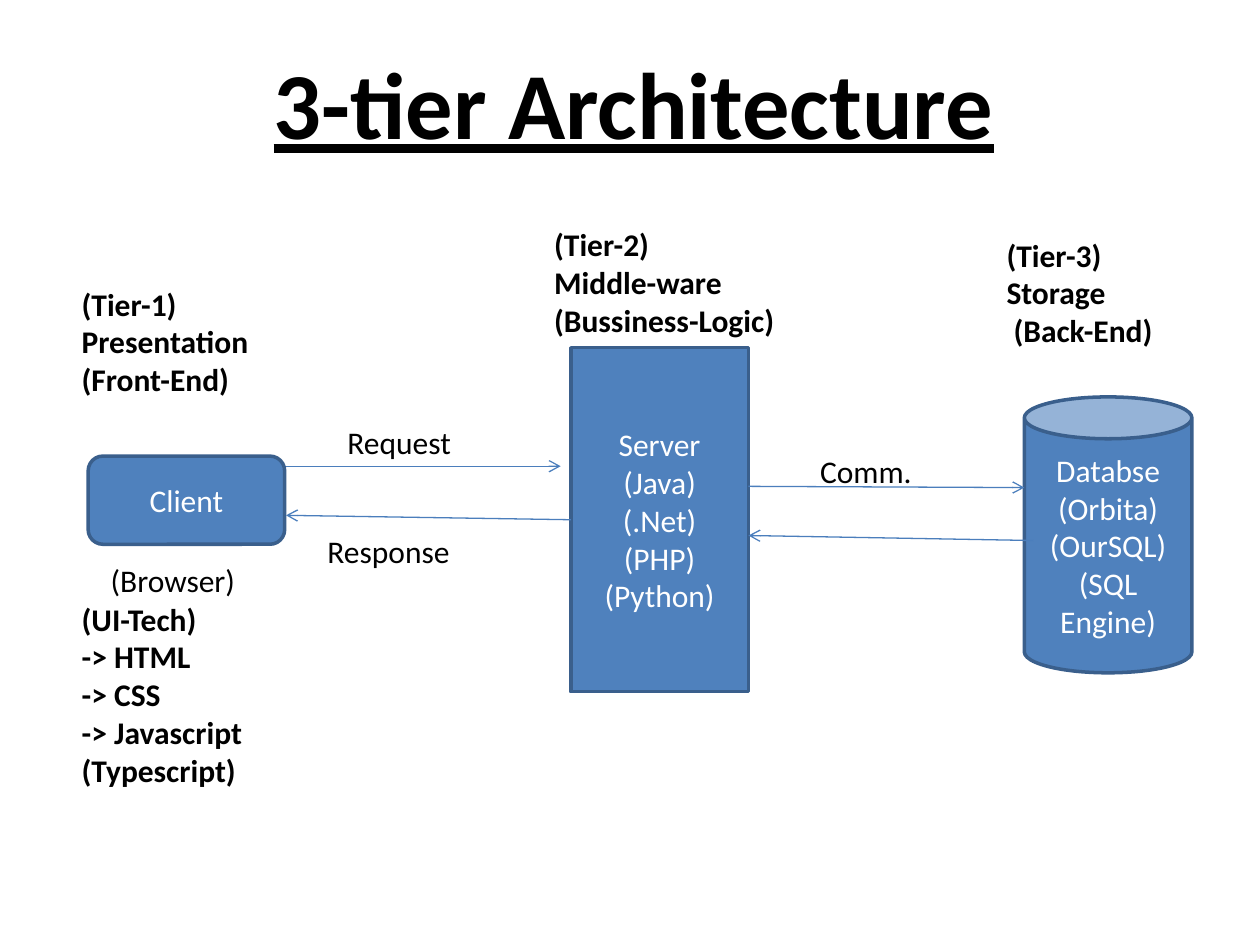
from lxml import etree
from pptx import Presentation
from pptx.dml.color import RGBColor
from pptx.enum.shapes import MSO_CONNECTOR, MSO_SHAPE
from pptx.enum.text import MSO_ANCHOR, PP_ALIGN
from pptx.oxml.ns import qn
from pptx.util import Inches, Pt

STRAIGHT = MSO_CONNECTOR.STRAIGHT
ROUNDED, RECTANGLE, CAN = MSO_SHAPE.ROUNDED_RECTANGLE, MSO_SHAPE.RECTANGLE, MSO_SHAPE.CAN
TOP, MIDDLE = MSO_ANCHOR.TOP, MSO_ANCHOR.MIDDLE
LEFT, CENTER = PP_ALIGN.LEFT, PP_ALIGN.CENTER
LEFT_SIDE = 1

THEME = {
    "fill": RGBColor(0x4F, 0x81, 0xBD),
    "outline": RGBColor(0x3A, 0x5F, 0x8C),
    "arrow": RGBColor(0x4B, 0x7E, 0xBC),
    "outline_width": Pt(2),
    "arrow_width": Pt(0.75),
}
BASE = {"name": "Calibri", "size": Pt(18)}
PLAIN = {**BASE, "color": RGBColor(0, 0, 0)}
BOLD = {**PLAIN, "bold": True}
TITLE = {**BOLD, "size": Pt(54), "underline": True}
NODE = {**BASE, "color": RGBColor(0xFF, 0xFF, 0xFF)}

NODES = {
    "client": (ROUNDED, (0.7, 3.62, 1.56, 0.7), ["Client"]),
    "server": (RECTANGLE, (4.53, 2.76, 1.41, 2.73),
               ["Server", "(Java)", "(.Net)", "(PHP)", "(Python)"]),
    "database": (CAN, (8.13, 3.15, 1.33, 2.19),
                 ["Databse", "(Orbita)", "(OurSQL)", "(SQL Engine)"]),
}
ARROWS = {
    "request": ((2.27, 3.7), (4.45, 3.7)),
    "response": ((4.53, 4.13), (2.27, 4.09)),
    "query": ((5.94, 3.86), (8.13, 3.87)),
    "result": ((8.2, 4.29), (5.94, 4.25)),
}
LABELS = [
    ((0.78, 4.4, 1.48, 0.4), ["(Browser)"], PLAIN),
    ((2.66, 3.31, 1.17, 0.4), ["Request"], PLAIN),
    ((2.5, 4.17, 1.41, 0.4), ["Response"], PLAIN),
    ((6.41, 3.54, 1.09, 0.4), ["Comm."], PLAIN),
    ((0.55, 4.71, 2.11, 1.62),
     ["(UI-Tech)", "-> HTML", "-> CSS", "-> Javascript", "(Typescript)"], BOLD),
    ((0.55, 2.21, 1.87, 1.01), ["(Tier-1)", "Presentation (Front-End)"], BOLD),
    ((4.3, 1.74, 2.27, 1.01), ["(Tier-2)", "Middle-ware", "(Bussiness-Logic)"], BOLD),
    ((7.89, 1.82, 1.87, 1.01), ["(Tier-3)", "Storage", " (Back-End)"], BOLD),
]


def write_text(shape, lines, style, alignment, anchor):
    frame = shape.text_frame
    frame.word_wrap = True
    frame.vertical_anchor = anchor
    for index, line in enumerate(lines):
        paragraph = frame.paragraphs[0] if index == 0 else frame.add_paragraph()
        paragraph.alignment = alignment
        run = paragraph.add_run()
        run.text = line
        for attribute, value in style.items():
            if attribute == "color":
                run.font.color.rgb = value
            else:
                setattr(run.font, attribute, value)


def add_label(slide, box, lines, style, alignment=LEFT, anchor=TOP):
    shape = slide.shapes.add_textbox(*map(Inches, box))
    write_text(shape, lines, style, alignment, anchor)


def add_node(slide, kind, box, lines):
    shape = slide.shapes.add_shape(kind, *map(Inches, box))
    shape.shadow.inherit = False
    shape.fill.solid()
    shape.fill.fore_color.rgb = THEME["fill"]
    shape.line.color.rgb = THEME["outline"]
    shape.line.width = THEME["outline_width"]
    write_text(shape, lines, NODE, CENTER, MIDDLE)
    return shape


def add_arrow(slide, start, end):
    connector = slide.shapes.add_connector(STRAIGHT, *map(Inches, start + end))
    connector.line.color.rgb = THEME["arrow"]
    connector.line.width = THEME["arrow_width"]
    properties = connector._element.spPr
    etree.SubElement(properties.find(qn("a:ln")), qn("a:tailEnd"), type="arrow")
    etree.SubElement(properties, qn("a:effectLst"))
    return connector


def main():
    presentation = Presentation()
    presentation.slide_width, presentation.slide_height = Inches(10), Inches(7.5)
    slide = presentation.slides.add_slide(presentation.slide_layouts[6])
    add_label(slide, (0.78, 0, 8.5, 1.61), ["3-tier Architecture"], TITLE, CENTER, MIDDLE)
    nodes = {name: add_node(slide, *node) for name, node in NODES.items()}
    arrows = {name: add_arrow(slide, *ends) for name, ends in ARROWS.items()}
    arrows["response"].begin_connect(nodes["server"], LEFT_SIDE)
    for label in LABELS:
        add_label(slide, *label)
    presentation.save("out.pptx")


if __name__ == "__main__":
    main()
